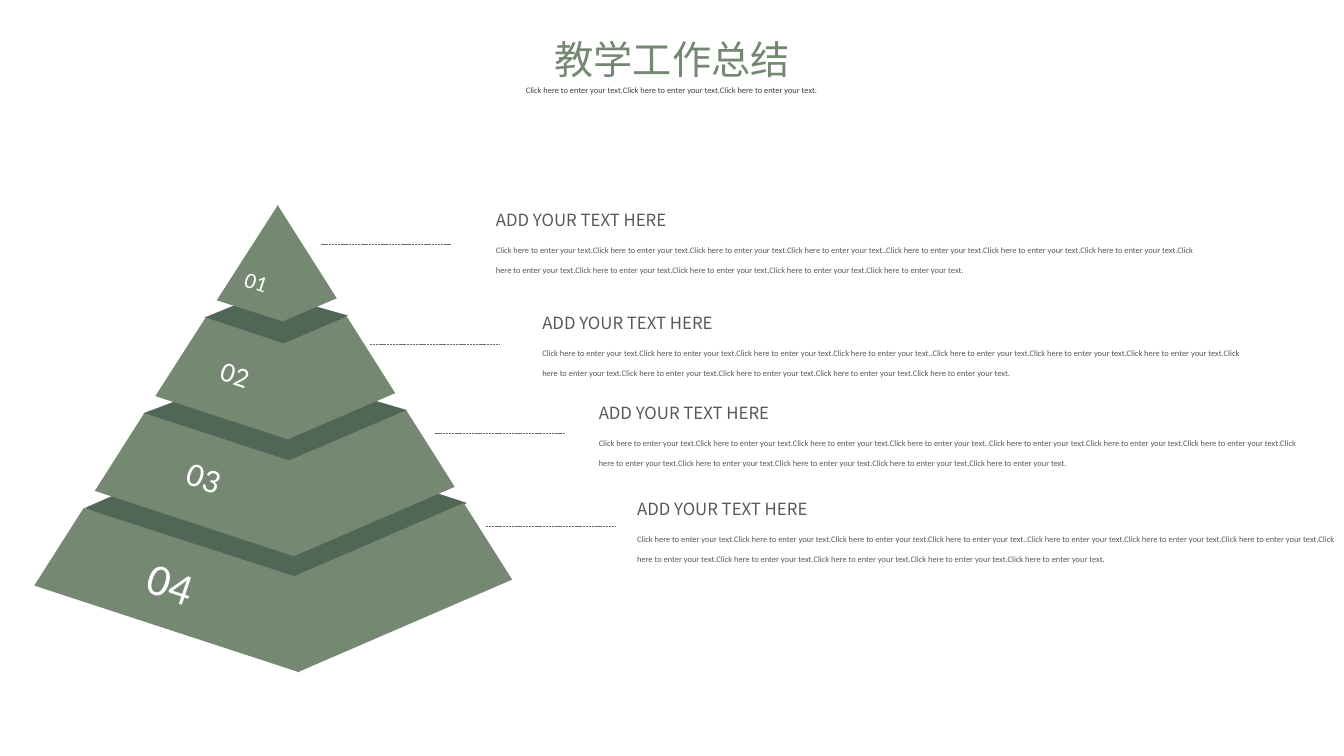
from dataclasses import dataclass

from lxml import etree
from pptx import Presentation
from pptx import util as u
from pptx.dml.color import RGBColor
from pptx.enum import dml, text
from pptx.oxml.ns import qn


@dataclass(frozen=True)
class Theme:
    face: str = "748872"
    lid: str = "506656"
    leader: str = "5E6F5C"
    subtitle: str = "404040"
    body: str = "595959"
    white: str = "FFFFFF"
    heading_font: str = "Noto Sans CJK SC"
    body_font: str = "Calibri"
    title_size: int = 28
    heading_size: int = 12
    small_size: int = 6


THEME = Theme()
SENTENCE = "Click here to enter your text."
BODY = SENTENCE * 4 + "." + SENTENCE * 8
LEADER_LENGTH = 1.29

# Tiers from bottom to top; points are inches from the pyramid's top left corner.
TIERS = [
    dict(
        faces=[
            (THEME.lid, [(0.5, 3.01), (2.19, 2.27), (4.29, 2.96), (2.6, 3.85)]),
            (THEME.face, [(4.26, 2.96), (2.57, 3.69), (2.61, 4.64), (4.74, 3.72)]),
            (THEME.face, [(2.59, 3.69), (2.63, 4.64), (0, 3.78), (0.49, 3.01)]),
        ],
        number="04", size=32, box=(0.97, 3.43, 0.77, 0.63),
    ),
    dict(
        faces=[
            (THEME.lid, [(1.08, 2.07), (2.28, 1.62), (3.7, 2.04), (2.53, 2.54)]),
            (THEME.face, [(3.69, 2.04), (2.52, 2.54), (2.57, 3.49), (4.17, 2.8)]),
            (THEME.face, [(2.58, 3.49), (2.53, 2.54), (1.09, 2.07), (0.6, 2.84)]),
        ],
        number="03", size=24, box=(1.38, 2.45, 0.61, 0.5),
    ),
    dict(
        faces=[
            (THEME.lid, [(1.69, 1.12), (2.3, 0.87), (3.11, 1.1), (2.48, 1.48)]),
            (THEME.face, [(3.1, 1.11), (2.47, 1.38), (2.51, 2.33), (3.58, 1.87)]),
            (THEME.face, [(2.52, 2.33), (2.48, 1.38), (1.7, 1.12), (1.2, 1.9)]),
        ],
        number="02", size=20, box=(1.73, 1.46, 0.53, 0.43),
    ),
    dict(
        faces=[
            (THEME.face, [(2.41, 0), (2.46, 1.16), (3, 0.93)]),
            (THEME.face, [(2.47, 1.16), (1.81, 0.95), (2.42, 0)]),
        ],
        number="01", size=16, box=(1.99, 0.58, 0.43, 0.36),
    ),
]

# Start of each leader line and top left corner of its text block.
ENTRIES = [
    ((3.18, 2.42), (4.82, 2.03)),
    ((3.67, 3.42), (5.28, 3.05)),
    ((4.31, 4.3), (5.84, 3.95)),
    ((4.82, 5.22), (6.22, 4.9)),
]


def assign(target, values):
    for name, value in values.items():
        setattr(target, name, value)


def write(shape, words, font, size, color, frame=None, para=None):
    """Fill a shape with one formatted paragraph."""
    assign(shape.text_frame, frame or {})
    line = shape.text_frame.paragraphs[0]
    assign(line, para or {})
    span = line.add_run()
    span.text = words
    assign(span.font, dict(name=font, size=u.Pt(size), bold=False))
    span.font.color.rgb = RGBColor.from_string(color)
    east_asian = etree.SubElement(span.font._element, qn("a:ea"))
    east_asian.set("typeface", font)


def add_text(page, box, words, font, size, color, wrap=True, **para):
    shape = page.shapes.add_textbox(*map(u.Inches, box))
    frame = dict(word_wrap=wrap, auto_size=text.MSO_AUTO_SIZE.SHAPE_TO_FIT_TEXT)
    write(shape, words, font, size, color, frame, para)
    return shape


def add_header(page, left, top, width):
    title = page.shapes.title
    corner = dict(left=left, top=top, width=width, height=0.78)
    assign(title, {name: u.Inches(value) for name, value in corner.items()})
    frame = dict(word_wrap=True, auto_size=text.MSO_AUTO_SIZE.NONE,
                 vertical_anchor=text.MSO_ANCHOR.MIDDLE)
    write(title, "教学工作总结", THEME.heading_font, THEME.title_size, THEME.face,
          frame, dict(alignment=text.PP_ALIGN.CENTER))
    add_text(page, (left - 0.19, top + 0.51, width + 0.37, 0.3), SENTENCE * 3,
             THEME.body_font, THEME.small_size, THEME.subtitle,
             alignment=text.PP_ALIGN.CENTER, line_spacing=2.0)


def add_face(group, left, top, color, points):
    corners = [(u.Inches(left + x), u.Inches(top + y)) for x, y in points]
    builder = group.shapes.build_freeform(*corners[0])
    builder.add_line_segments(corners[1:], close=True)
    face = builder.convert_to_shape()
    face.shadow.inherit = False
    face.fill.solid()
    face.fill.fore_color.rgb = RGBColor.from_string(color)
    face.line.fill.background()


def add_pyramid(page, left, top):
    for tier in TIERS:
        group = page.shapes.add_group_shape()
        for color, points in tier["faces"]:
            add_face(group, left, top, color, points)
    for tier in TIERS:
        x, y, width, height = tier["box"]
        number = add_text(page, (left + x, top + y, width, height), tier["number"],
                          THEME.body_font, tier["size"], THEME.white, wrap=False,
                          alignment=text.PP_ALIGN.CENTER)
        number.rotation = 18.6


def add_leader(page, left, top):
    ends = map(u.Inches, (left, top, left + LEADER_LENGTH, top))
    leader = page.shapes.add_connector(1, *ends)
    leader.line.color.rgb = RGBColor.from_string(THEME.leader)
    assign(leader.line, dict(width=u.Pt(0.5), dash_style=dml.MSO_LINE.SQUARE_DOT))
    etree.SubElement(leader._element.spPr, qn("a:effectLst"))


def add_entry(page, left, top):
    add_text(page, (left, top, 2.78, 0.31), "ADD YOUR TEXT HERE",
             THEME.heading_font, THEME.heading_size, THEME.body)
    add_text(page, (left, top + 0.25, 7.15, 0.5), BODY,
             THEME.body_font, THEME.small_size, THEME.body, line_spacing=2.0)


def main():
    deck = Presentation()
    assign(deck, dict(slide_width=u.Inches(13.33), slide_height=u.Inches(7.5)))
    page = deck.slides.add_slide(deck.slide_layouts[5])
    add_header(page, 4.95, 0.19, 3.43)
    add_pyramid(page, 0.34, 2.03)
    for leader, entry in ENTRIES:
        add_leader(page, *leader)
        add_entry(page, *entry)
    deck.save("out.pptx")


if __name__ == "__main__":
    main()
